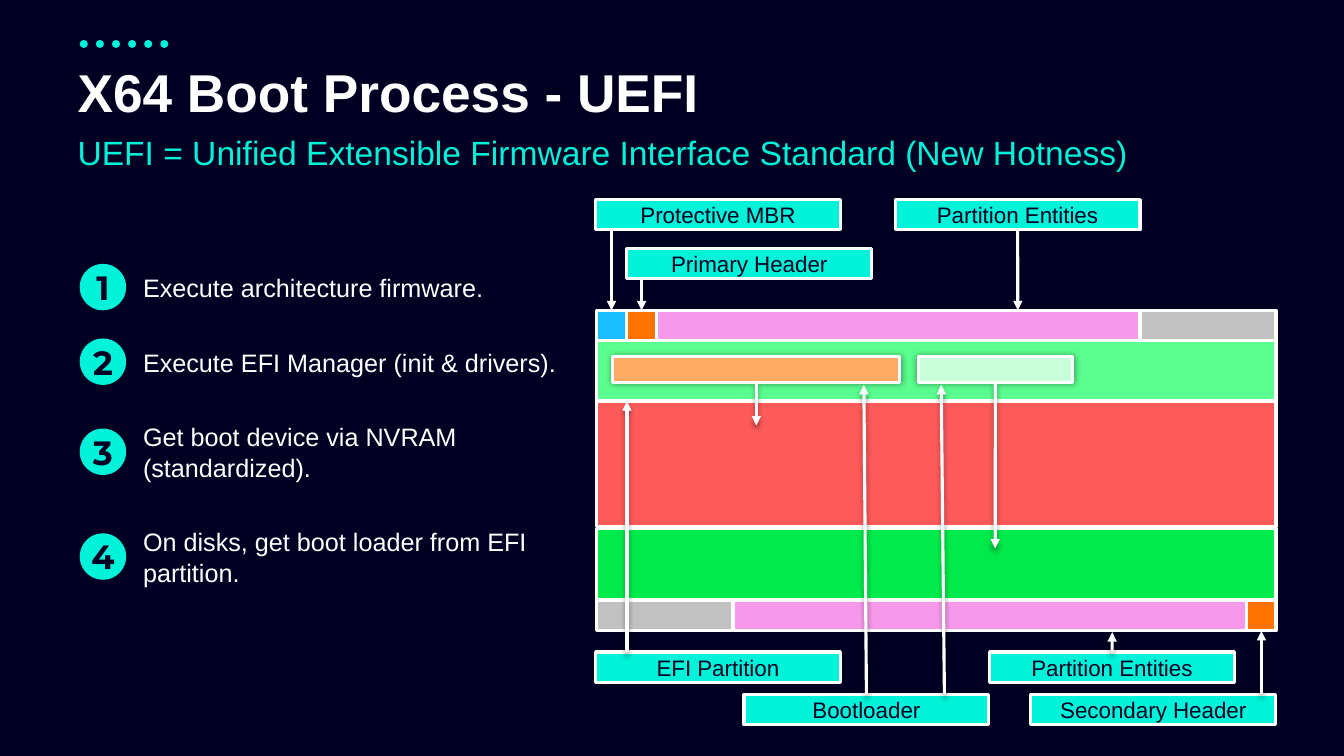
from lxml import etree
from pptx import Presentation
from pptx.dml.color import RGBColor
from pptx.enum.dml import MSO_LINE
from pptx.enum.shapes import MSO_CONNECTOR, MSO_SHAPE
from pptx.enum.text import MSO_ANCHOR, MSO_AUTO_SIZE, PP_ALIGN
from pptx.oxml import parse_xml
from pptx.oxml.ns import qn
from pptx.util import Cm, Pt

RECT, OVAL = MSO_SHAPE.RECTANGLE, MSO_SHAPE.OVAL
STRAIGHT, DOTS = MSO_CONNECTOR.STRAIGHT, MSO_LINE.ROUND_DOT
TOP, MIDDLE = MSO_ANCHOR.TOP, MSO_ANCHOR.MIDDLE
CENTER, NO_FIT = PP_ALIGN.CENTER, MSO_AUTO_SIZE.NONE
TOP_SITE, BOTTOM_SITE = 0, 2

rgb = RGBColor.from_string
NAVY, AQUA, WHITE = "010022", "00F3D8", "FFFFFF"
PINK, GREY, ORANGE = "F799EA", "C1C1C1", "FF7300"
SHADOW = ('<a:outerShdw xmlns:a="http://schemas.openxmlformats.org/drawingml/2006/main" '
          'blurRad="%d" dist="%d" dir="5400000" rotWithShape="0">'
          '<a:srgbClr val="000000"><a:alpha val="40000"/></a:srgbClr></a:outerShdw>')


def write(p, text, size, color, bold=False, font="Arial"):
    r = p.add_run()
    r.text = text
    r.font.name, r.font.size, r.font.bold = font, Pt(size), bold
    r.font.color.rgb = rgb(color)


def add_block(kind, x, y, w, h, fill):
    s = slide.shapes.add_shape(kind, Cm(x), Cm(y), Cm(w), Cm(h))
    s.shadow.inherit = False
    s.fill.solid()
    s.fill.fore_color.rgb = rgb(fill)
    s.line.color.rgb = rgb(WHITE)
    s.line.width = Pt(2.25)
    return s


prs = Presentation()
prs.slide_width, prs.slide_height = Cm(33.87), Cm(19.05)
slide = prs.slides.add_slide(prs.slide_layouts[3])
slide.background.fill.solid()
slide.background.fill.fore_color.rgb = rgb(NAVY)

# Dotted accent above the title
dots = slide.shapes.add_connector(STRAIGHT, Cm(2.11), Cm(1.1), Cm(4.24), Cm(1.1))
dots.line.color.rgb = rgb(AQUA)
dots.line.width = Pt(5.75)
dots.line.dash_style = DOTS
dots.line._get_or_add_ln().set("cap", "rnd")
etree.SubElement(dots._element.spPr, qn("a:effectLst"))

# Title, subtitle and list
title, subtitle, steps = slide.placeholders
for s, x, y, w, h in [(title, 1.7, 1.55, 30.48, 2.36), (subtitle, 1.7, 3.3, 29.87, 1.27),
                      (steps, 3.35, 6.73, 11.51, 8.2)]:
    s.left, s.top, s.width, s.height = Cm(x), Cm(y), Cm(w), Cm(h)
    tf = s.text_frame
    tf.word_wrap, tf.auto_size, tf.vertical_anchor = True, NO_FIT, TOP

p = title.text_frame.paragraphs[0]
p.alignment, p.line_spacing = PP_ALIGN.LEFT, 0.9
write(p, "X64 Boot Process - UEFI", 38, WHITE, bold=True)

p = subtitle.text_frame.paragraphs[0]
p.line_spacing = 0.9
write(p, "UEFI = Unified Extensible Firmware Interface Standard (New Hotness)", 24, AQUA)

tf = steps.text_frame
for i, (text, y) in enumerate([
        ("Execute architecture firmware.", 6.65),
        ("Execute EFI Manager (init & drivers).", 8.53),
        ("Get boot device via NVRAM (standardized).", 10.8),
        ("On disks, get boot loader from EFI partition.", 13.44)]):
    p = tf.add_paragraph() if i else tf.paragraphs[0]
    p.line_spacing = Pt(22)
    p.space_before = Pt(31 if i else 0)
    write(p, text, 18, WHITE)

    badge = add_block(OVAL, 2.01, y, 1.17, 1.17, AQUA)
    badge.line.fill.background()
    btf = badge.text_frame
    btf.margin_left = btf.margin_right = btf.margin_top = btf.margin_bottom = 0
    btf.word_wrap, btf.vertical_anchor = False, MIDDLE
    btf.paragraphs[0].alignment = CENTER
    write(btf.paragraphs[0], str(i + 1), 24, NAVY, bold=True, font="Montserrat")

for p in [*subtitle.text_frame.paragraphs, *tf.paragraphs]:
    pPr = p._p.get_or_add_pPr()
    pPr.set("marL", "0")
    pPr.set("indent", "0")
    etree.SubElement(pPr, qn("a:buNone"))
    p.space_before = p.space_before or Pt(0)

# Disk layout
blocks = {}
for name, x, y, w, h, fill in [
        ("protective MBR", 15.04, 7.82, 0.74, 0.76, "1ABEFF"),
        ("primary header", 15.8, 7.82, 0.74, 0.76, ORANGE),
        ("primary entities", 16.54, 7.82, 12.19, 0.76, PINK),
        ("primary spare", 28.73, 7.82, 3.43, 0.76, GREY),
        ("EFI partition", 15.04, 8.59, 17.12, 1.5, "5AFF8F"),
        ("red partition", 15.04, 10.11, 17.12, 3.15, "FF5A5A"),
        ("green partition", 15.04, 13.31, 17.12, 1.8, "00EB4B"),
        ("secondary spare", 15.04, 15.14, 3.43, 0.76, GREY),
        ("secondary entities", 18.49, 15.14, 12.93, 0.76, PINK),
        ("secondary header", 31.42, 15.14, 0.74, 0.76, ORANGE),
        ("red loader", 15.44, 8.99, 7.24, 0.64, "FFAB66"),
        ("green loader", 23.14, 8.99, 3.89, 0.64, "C8FFDA")]:
    s = blocks[name] = add_block(RECT, x, y, w, h, fill)
    if name.endswith("loader"):
        effects = s._element.spPr.find(qn("a:effectLst"))
        effects.append(parse_xml(SHADOW % (Pt(5), 0)))

# Labels
for name, text, x, y in [
        ("MBR label", "Protective MBR", 15.01, 5.03),
        ("primary label", "Primary Header", 15.8, 6.27),
        ("top entities label", "Partition Entities", 22.56, 5.03),
        ("EFI label", "EFI Partition", 15.01, 16.43),
        ("bottom entities label", "Partition Entities", 24.94, 16.43),
        ("secondary label", "Secondary Header", 25.98, 17.5),
        ("bootloader label", "Bootloader", 18.75, 17.5)]:
    s = blocks[name] = add_block(RECT, x, y, 6.17, 0.76, AQUA)
    tf = s.text_frame
    tf.margin_left = tf.margin_right = Cm(0.08)
    tf.word_wrap, tf.vertical_anchor = True, MIDDLE
    tf.paragraphs[0].alignment = CENTER
    write(tf.paragraphs[0], text, 16, NAVY)

# Arrows: from, to, joined start, joined end, shadow
for x1, y1, x2, y2, start, end, shaded in [
        (15.41, 5.79, 15.41, 7.82, None, ("protective MBR", TOP_SITE), False),
        (16.17, 7.03, 16.17, 7.82, None, ("primary header", TOP_SITE), False),
        (25.65, 5.79, 25.65, 7.82, ("top entities label", BOTTOM_SITE), None, False),
        (15.8, 16.43, 15.8, 10.11, None, None, True),
        (19.06, 9.63, 19.06, 10.72, ("red loader", BOTTOM_SITE), None, True),
        (25.08, 9.63, 25.08, 13.82, ("green loader", BOTTOM_SITE), None, True),
        (21.83, 17.5, 21.77, 9.7, ("bootloader label", TOP_SITE), None, True),
        (23.8, 17.5, 23.72, 9.7, None, None, True),
        (28.03, 16.43, 28.03, 15.93, ("bottom entities label", TOP_SITE), None, True),
        (31.79, 17.5, 31.79, 15.9, None, ("secondary header", BOTTOM_SITE), True)]:
    s = slide.shapes.add_connector(STRAIGHT, Cm(x1), Cm(y1), Cm(x2), Cm(y2))
    if start:
        s.begin_connect(blocks[start[0]], start[1])
    if end:
        s.end_connect(blocks[end[0]], end[1])
    s.line.color.rgb = rgb(WHITE)
    s.line.width = Pt(2.25)
    etree.SubElement(s.line._get_or_add_ln(), qn("a:tailEnd"), type="triangle")
    effects = etree.SubElement(s._element.spPr, qn("a:effectLst"))
    if shaded:
        effects.append(parse_xml(SHADOW % (Pt(4), Pt(3))))

prs.save("out.pptx")
